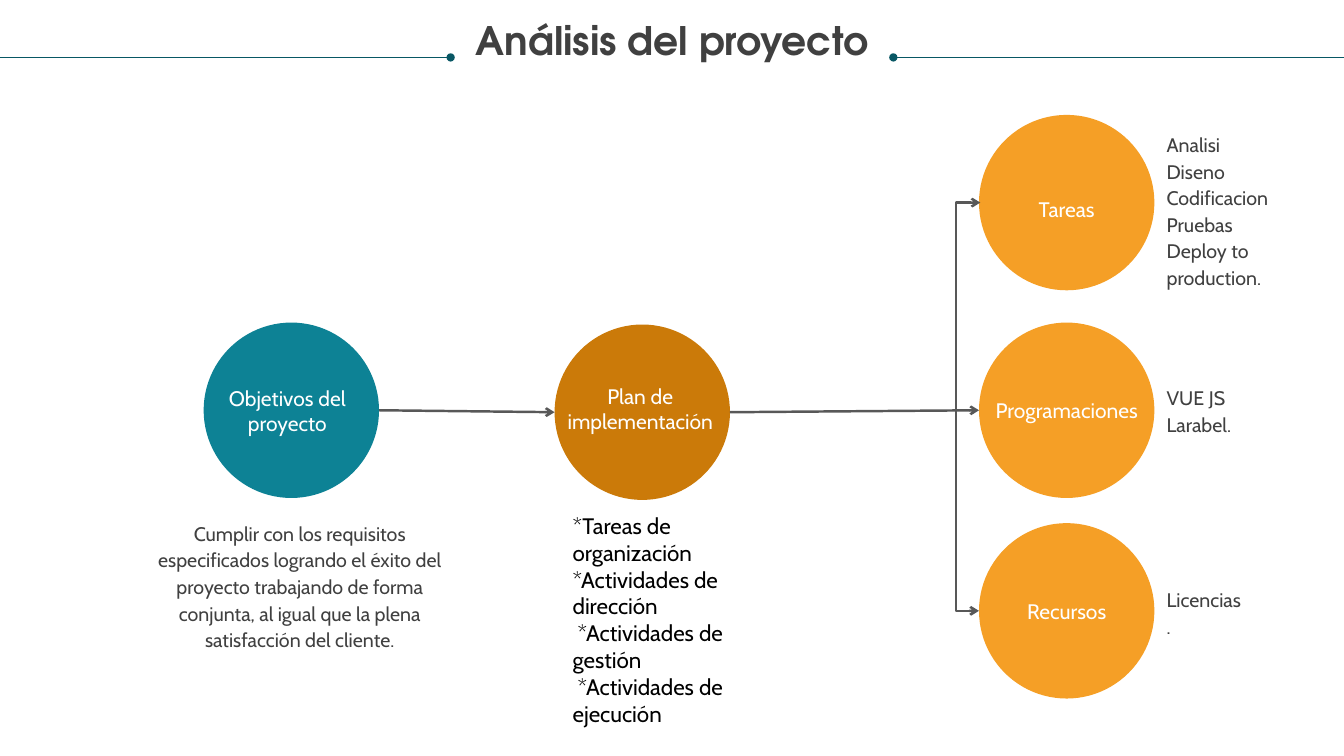
from pptx import Presentation
from pptx.dml.color import RGBColor
from pptx.enum.shapes import MSO_CONNECTOR, MSO_SHAPE
from pptx.enum.text import MSO_ANCHOR, PP_ALIGN
from pptx.oxml.ns import qn
from pptx.util import Inches, Pt
from lxml.etree import SubElement

deck = Presentation()
deck.slide_width, deck.slide_height = Inches(13.33), Inches(7.5)
slide = deck.slides.add_slide(deck.slide_layouts[6])
shapes = slide.shapes
col, row = deck.slide_width / 100, deck.slide_height / 100
hue = RGBColor.from_string


def write(x, y, wide, high, lines, size, ink, align, lead=None,
          font="Cabin", bold=False, anchor=MSO_ANCHOR.MIDDLE):
    box = shapes.add_textbox(int(x * col), int(y * row), int(wide * col), int(high * row))
    frame = box.text_frame
    frame.word_wrap = True
    frame.vertical_anchor = anchor
    frame.margin_left = frame.margin_right = frame.margin_top = frame.margin_bottom = 0
    for i, line in enumerate(lines):
        para = frame.paragraphs[0] if i == 0 else frame.add_paragraph()
        para.alignment = align
        para.line_spacing = lead
        run = para.add_run()
        run.text = line
        run.font.name, run.font.size, run.font.bold = font, Pt(size), bold
        run.font.color.rgb = hue(ink)


def link(kind, x1, y1, x2, y2, ink, width, ends):
    wire = shapes.add_connector(kind, int(x1 * col), int(y1 * row), int(x2 * col), int(y2 * row))
    wire.line.color.rgb = hue(ink)
    wire.line.width = Pt(width)
    props = wire._element.spPr
    for end, tip in ends.items():
        SubElement(props.find(qn("a:ln")), qn("a:" + end)).set("type", tip)
    SubElement(props, qn("a:effectLst"))
    return wire


left, mid, right = 21.68, 47.79, 79.37
top, main, low = 26.8, 54.27, 80.8
plan = 54.53
wide, high = 13.05, 23.2
note = 86.8
teal, brown, gold = "0D8295", "CB7A09", "F59F26"
dark, gray, white = "404040", "585858", "FFFFFF"
straight = MSO_CONNECTOR.STRAIGHT

write(1.88, 2.8, 96.25, 11.33, ["Análisis del proyecto"], 28, dark, PP_ALIGN.CENTER,
      0.9, "TeX Gyre Adventor", True, MSO_ANCHOR.TOP)
for start, stop, end in ((66.47, 100, "headEnd"), (0, 33.53, "tailEnd")):
    link(straight, start, 7.6, stop, 7.6, "085764", 0.5, {end: "oval"})

nodes = [
    (left, main, teal, 21.38, 54.27, "Objetivos del proyecto"),
    (mid, plan, brown, 47.64, 54, "Plan de implementación"),
    (right, main, gold, right, 54.2, "Programaciones"),
    (right, top, gold, right, 27.67, "Tareas"),
    (right, low, gold, right, 80.87, "Recursos"),
]
for x, y, fill, tx, ty, name in nodes:
    disc = shapes.add_shape(MSO_SHAPE.OVAL, int((x - wide / 2) * col), int((y - high / 2) * row),
                            int(wide * col), int(high * row))
    disc.shadow.inherit = False
    disc.fill.solid()
    disc.fill.fore_color.rgb = hue(fill)
    disc.line.fill.background()

for x1, y1, x2, y2 in ((left, main, mid, plan), (mid, plan, right, main)):
    link(straight, x1 + wide / 2, y1, x2 - wide / 2, y2, gray, 1.75, {"tailEnd": "arrow"})

edge = right - wide / 2
gap, bend = 0.1, 1.8
fork = link(MSO_CONNECTOR.ELBOW, edge + gap, top, edge, low, gray, 1.75,
            {"headEnd": "arrow", "tailEnd": "arrow"})
guide = SubElement(fork._element.spPr.find(qn("a:prstGeom")).find(qn("a:avLst")), qn("a:gd"))
guide.set("name", "adj1")
guide.set("fmla", f"val {round(bend / gap * 100000)}")

for x, y, fill, tx, ty, name in nodes:
    write(tx - 5.63, ty - 3.33, 11.25, 6.67, [name], 15, white, PP_ALIGN.CENTER)

write(42.61, 67.6, 15.83, 28.67,
      ["*Tareas de organización", "*Actividades de dirección",
       "\u00a0*Actividades de gestión", "\u00a0*Actividades de ejecución"],
      16, "000000", PP_ALIGN.LEFT)
write(11.1, 68.53, 22.43, 17.73,
      ["Cumplir con los requisitos especificados logrando el éxito del proyecto trabajando "
       "de forma conjunta, al igual que la plena satisfacción del cliente."],
      14, dark, PP_ALIGN.CENTER, Pt(19))
for y, span, tall, lines in (
    (17.07, 13.2, 21.33, ["Analisi", "Diseno", "Codificacion", "Pruebas", "Deploy to production."]),
    (50.67, 11.03, 7.07, ["VUE JS", "Larabel."]),
    (77.33, 11.03, 7.07, ["Licencias", "."]),
):
    write(note, y, span, tall, lines, 14, dark, PP_ALIGN.LEFT, Pt(19))

deck.save("out.pptx")
